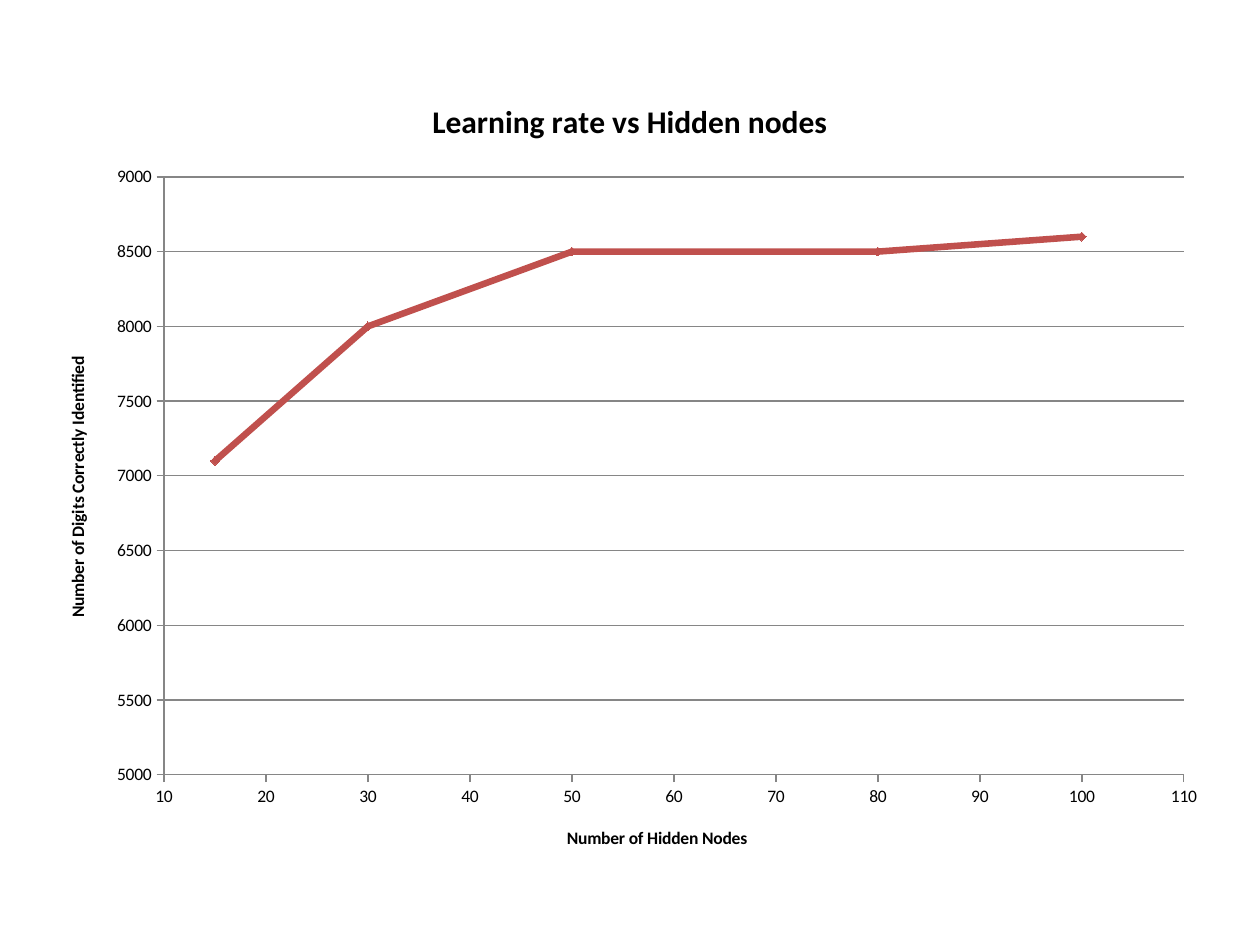
from dataclasses import dataclass
from lxml.etree import SubElement
from pptx import Presentation
from pptx.chart.data import XyChartData
from pptx.dml.color import RGBColor
from pptx.enum.chart import XL_CHART_TYPE, XL_MARKER_STYLE, XL_TICK_MARK
from pptx.oxml.ns import qn
from pptx.util import Emu, Pt

PIXEL = 914400 // 126


@dataclass(frozen=True)
class Theme:
    font: str = "Calibri"
    text: RGBColor = RGBColor(0, 0, 0)
    grid: RGBColor = RGBColor(0x86, 0x86, 0x86)
    line: RGBColor = RGBColor(0xC0, 0x50, 0x4D)
    title_size: int = 18
    body_size: int = 10
    line_width: float = 3.75
    grid_width: float = 0.75


@dataclass(frozen=True)
class Box:
    left: int
    top: int
    width: int
    height: int


@dataclass(frozen=True)
class AxisPlan:
    title: str
    minimum: int
    maximum: int
    step: int
    gridlines: bool


THEME = Theme()
CHART_BOX = Box(39, 71, 1182, 804)
PLOT_BOX = Box(164, 177, 1020, 598)
NODES_AXIS = AxisPlan("Number of Hidden Nodes", 10, 110, 10, False)
DIGITS_AXIS = AxisPlan("Number of Digits Correctly Identified", 5000, 9000, 500, True)
RESULTS = ((15, 7100), (30, 8000), (50, 8500), (80, 8500), (100, 8600))


def px(count: int) -> Emu:
    return Emu(count * PIXEL)


def style_font(font, size: int, bold: bool) -> None:
    font.name = THEME.font
    font.size = Pt(size)
    font.bold = bold
    font.color.rgb = THEME.text


def style_line(line, color: RGBColor, width: float) -> None:
    line.color.rgb = color
    line.width = Pt(width)


def write_title(title, text: str, size: int) -> None:
    span = title.text_frame.paragraphs[0].add_run()
    span.text = text
    style_font(span.font, size, True)


def format_axis(axis, plan: AxisPlan) -> None:
    axis.minimum_scale = plan.minimum
    axis.maximum_scale = plan.maximum
    axis.major_unit = plan.step
    axis.major_tick_mark = XL_TICK_MARK.OUTSIDE
    axis.minor_tick_mark = XL_TICK_MARK.NONE
    axis.has_major_gridlines = plan.gridlines
    if plan.gridlines:
        style_line(axis.major_gridlines.format.line, THEME.grid, THEME.grid_width)
    style_line(axis.format.line, THEME.grid, THEME.grid_width)
    style_font(axis.tick_labels.font, THEME.body_size, False)
    write_title(axis.axis_title, plan.title, THEME.body_size)


def place_plot(chart, frame: Box, plot: Box) -> None:
    area = chart.element.find(".//" + qn("c:plotArea"))
    layout = area.find(qn("c:layout"))
    if layout is None:
        layout = SubElement(area, qn("c:layout"))
        area.insert(0, layout)
    manual = SubElement(layout, qn("c:manualLayout"))
    settings = {
        "layoutTarget": "inner",
        "xMode": "edge",
        "yMode": "edge",
        "x": round((plot.left - frame.left) / frame.width, 4),
        "y": round((plot.top - frame.top) / frame.height, 4),
        "w": round(plot.width / frame.width, 4),
        "h": round(plot.height / frame.height, 4),
    }
    for name, value in settings.items():
        SubElement(manual, qn(f"c:{name}")).set("val", str(value))


def add_results_chart(page) -> None:
    data = XyChartData()
    points = data.add_series("Series 1")
    for nodes, digits in RESULTS:
        points.add_data_point(nodes, digits)
    box = CHART_BOX
    chart = page.shapes.add_chart(
        XL_CHART_TYPE.XY_SCATTER_LINES,
        px(box.left), px(box.top), px(box.width), px(box.height), data,
    ).chart
    chart.has_legend = False
    style_font(chart.font, THEME.body_size, False)
    write_title(chart.chart_title, "Learning rate vs Hidden nodes", THEME.title_size)
    chart.chart_title.include_in_layout = False
    format_axis(chart.category_axis, NODES_AXIS)
    format_axis(chart.value_axis, DIGITS_AXIS)
    plot = chart.plots[0]
    plot.vary_by_categories = False
    series = plot.series[0]
    series.smooth = False
    style_line(series.format.line, THEME.line, THEME.line_width)
    series.marker.style = XL_MARKER_STYLE.DIAMOND
    series.marker.size = 5
    series.marker.format.fill.solid()
    series.marker.format.fill.fore_color.rgb = THEME.line
    style_line(series.marker.format.line, THEME.line, THEME.grid_width)
    place_plot(chart, CHART_BOX, PLOT_BOX)


def main() -> None:
    deck = Presentation()
    deck.slide_width = px(1260)
    deck.slide_height = px(945)
    page = deck.slides.add_slide(deck.slide_layouts[6])
    add_results_chart(page)
    deck.save("out.pptx")


main()
